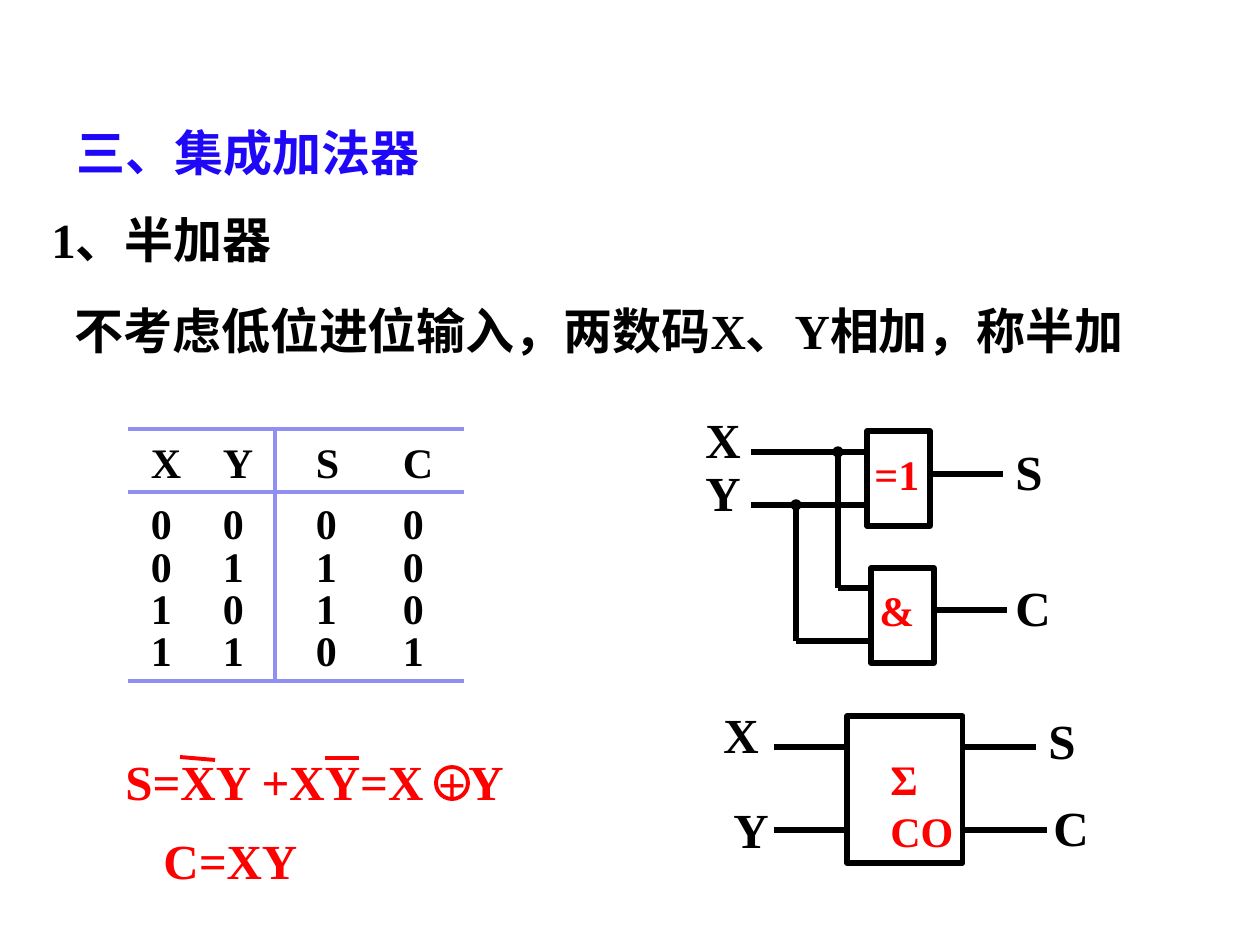
from dataclasses import dataclass
from lxml.etree import SubElement
from pptx import Presentation
from pptx.dml.color import RGBColor as RGB
from pptx.enum.shapes import MSO_CONNECTOR as Link, MSO_SHAPE as Kind
from pptx.enum.text import MSO_ANCHOR as Anchor, MSO_AUTO_SIZE as Fit, PP_ALIGN as Align
from pptx.oxml.ns import qn
from pptx.util import Pt

PX = 914400 / 126


@dataclass(frozen=True)
class Theme:
    font: str = "Times New Roman"
    ink: str = "000000"
    blue: str = "1F08F8"
    red: str = "FF0000"
    rule: str = "9090F4"
    big: int = 28
    small: int = 24
    thick: float = 3
    thin: float = 2.25


T = Theme()


def emu(*vals):
    return [round(v * PX) for v in vals]


def write(frame, text, size=T.big, color=T.ink, align=Align.LEFT,
          anchor=Anchor.TOP, slant=None, lead=None):
    frame.word_wrap = True
    frame.vertical_anchor = anchor
    para = frame.paragraphs[0]
    para.alignment = align
    if lead:
        para.line_spacing = Pt(lead)
    for bit in text.partition(slant) if slant else [text]:
        run = para.add_run()
        run.text = bit
        font = run.font
        font.name, font.size, font.bold = T.font, Pt(size), True
        font.italic = bit == slant
        font.color.rgb = RGB.from_string(color)


def label(slide, box, text, **form):
    shape = slide.shapes.add_textbox(*emu(*box))
    write(shape.text_frame, text, **form)


def wire(slide, x1, y1, x2, y2, color=T.ink, width=T.thick):
    line = slide.shapes.add_connector(Link.STRAIGHT, *emu(x1, y1, x2, y2))
    line.line.color.rgb = RGB.from_string(color)
    line.line.width = Pt(width)
    SubElement(line._element.spPr, qn("a:effectLst"))


def block(slide, box, kind=Kind.RECTANGLE, color=T.ink, width=T.thick, solid=False):
    shape = slide.shapes.add_shape(kind, *emu(*box))
    shape.shadow.inherit = False
    if solid:
        shape.fill.solid()
        shape.fill.fore_color.rgb = RGB.from_string(color)
    else:
        shape.fill.background()
    shape.line.color.rgb = RGB.from_string(color)
    shape.line.width = Pt(width)
    return shape


def heading(slide, x, y):
    title = slide.shapes.title
    title.left, title.top, title.width, title.height = emu(x + 25, y, 646, 72)
    title.text_frame.auto_size = Fit.NONE
    write(title.text_frame, "三、集成加法器", color=T.blue)
    label(slide, (x, y + 87, 363, 72), "1、半加器")
    label(slide, (x + 23, y + 148, 1104, 132),
          "不考虑低位进位输入，两数码X、Y相加，称半加", anchor=Anchor.MIDDLE)


def edge(cell, sides):
    props = cell._tc.get_or_add_tcPr()
    for side in "LRTB":
        line = SubElement(props, qn(f"a:ln{side}"), w=str(Pt(T.thin)))
        if side in sides:
            fill = SubElement(line, qn("a:solidFill"))
            SubElement(fill, qn("a:srgbClr"), val=T.rule)
        else:
            SubElement(line, qn("a:noFill"))
    cell.fill.background()


def truth(slide, x, y):
    rows = ["XYSC", "0000", "0110", "1010", "1101"]
    tall = [63, 57, 42, 42, 48]
    wide = [71, 76, 105, 84]
    pads = [23, 24, 41, 23]
    last = len(rows) - 1
    table = slide.shapes.add_table(
        len(rows), len(wide), *emu(x, y, sum(wide), sum(tall))).table
    table.first_row = table.horz_banding = False
    for col, size in zip(table.columns, wide):
        col.width = emu(size)[0]
    for r, row in enumerate(rows):
        table.rows[r].height = emu(tall[r])[0]
        for c, text in enumerate(row):
            cell = table.cell(r, c)
            low = 5 if r == 0 else 0
            cell.margin_left, cell.margin_right, cell.margin_top, cell.margin_bottom = emu(
                pads[c], 0, 0, low)
            write(cell.text_frame, text, size=T.small, lead=T.small)
            cell.vertical_anchor = Anchor.TOP if r == last else Anchor.BOTTOM
            sides = {0: "TB", 1: "T", last: "B"}.get(r, "")
            edge(cell, sides + {1: "R", 2: "L"}.get(c, ""))


def logic(slide, x, y):
    label(slide, (x, y, 343, 72), "S=XY +XY=X", color=T.red)
    label(slide, (x + 343, y, 70, 72), "Y", color=T.red)
    for x1, y1, x2, y2 in [(67, 12, 102, 15), (212, 13, 246, 13)]:
        wire(slide, x + x1, y + y1, x + x2, y + y2, color=T.red, width=T.thin)
    ring = block(slide, (x + 323, y + 22, 32, 32), Kind.OVAL, T.red, T.thin)
    frame = ring.text_frame
    frame.margin_left = frame.margin_right = frame.margin_top = frame.margin_bottom = 0
    write(frame, "+", color=T.red, align=Align.CENTER, anchor=Anchor.MIDDLE)
    frame.word_wrap = False
    label(slide, (x + 38, y + 79, 170, 72), "C=XY", color=T.red, slant="=")


def gates(slide, x, y):
    for dx, dy, text, tx, ty in [(174, 28, "=1", 169, 39), (178, 165, "&", 174, 175)]:
        block(slide, (x + dx, y + dy, 63, 95))
        label(slide, (x + tx, y + ty, 80, 63), text, size=T.small, color=T.red)
    for tap, top, low in [(145, 49, 185), (103, 102, 238)]:
        wire(slide, x + 58, y + top, x + 174, y + top)
        wire(slide, x + tap, y + top, x + tap, y + low)
        wire(slide, x + tap, y + low, x + 176, y + low)
        block(slide, (x + tap - 5, y + top - 5, 10, 10), Kind.OVAL, width=0.75, solid=True)
    for start, dy in [(237, 71), (241, 207)]:
        wire(slide, x + start, y + dy, x + start + 73, y + dy)
    for text, dx, dy in [("X", 0, 0), ("Y", 0, 53), ("S", 310, 32), ("C", 310, 168)]:
        label(slide, (x + dx, y + dy, 61, 72), text)


def adder(slide, x, y):
    block(slide, (x + 136, y + 18, 116, 147))
    for dy, end in [(49, 325), (132, 336)]:
        wire(slide, x + 63, y + dy, x + 136, y + dy)
        wire(slide, x + 252, y + dy, x + end, y + dy)
    for text, dx, dy in [("X", 0, 0), ("Y", 10, 95), ("S", 325, 6), ("C", 330, 93)]:
        label(slide, (x + dx, y + dy, 61, 72), text)
    for text, dy in [("Σ", 49), ("CO", 101)]:
        label(slide, (x + 167, y + dy, 100, 63), text, size=T.small, color=T.red)


def main():
    deck = Presentation()
    deck.slide_width, deck.slide_height = emu(1260, 945)
    slide = deck.slides.add_slide(deck.slide_layouts[5])
    heading(slide, 39, 116)
    truth(slide, 128, 429)
    logic(slide, 113, 745)
    gates(slide, 693, 403)
    adder(slide, 711, 698)
    deck.save("out.pptx")


if __name__ == "__main__":
    main()
